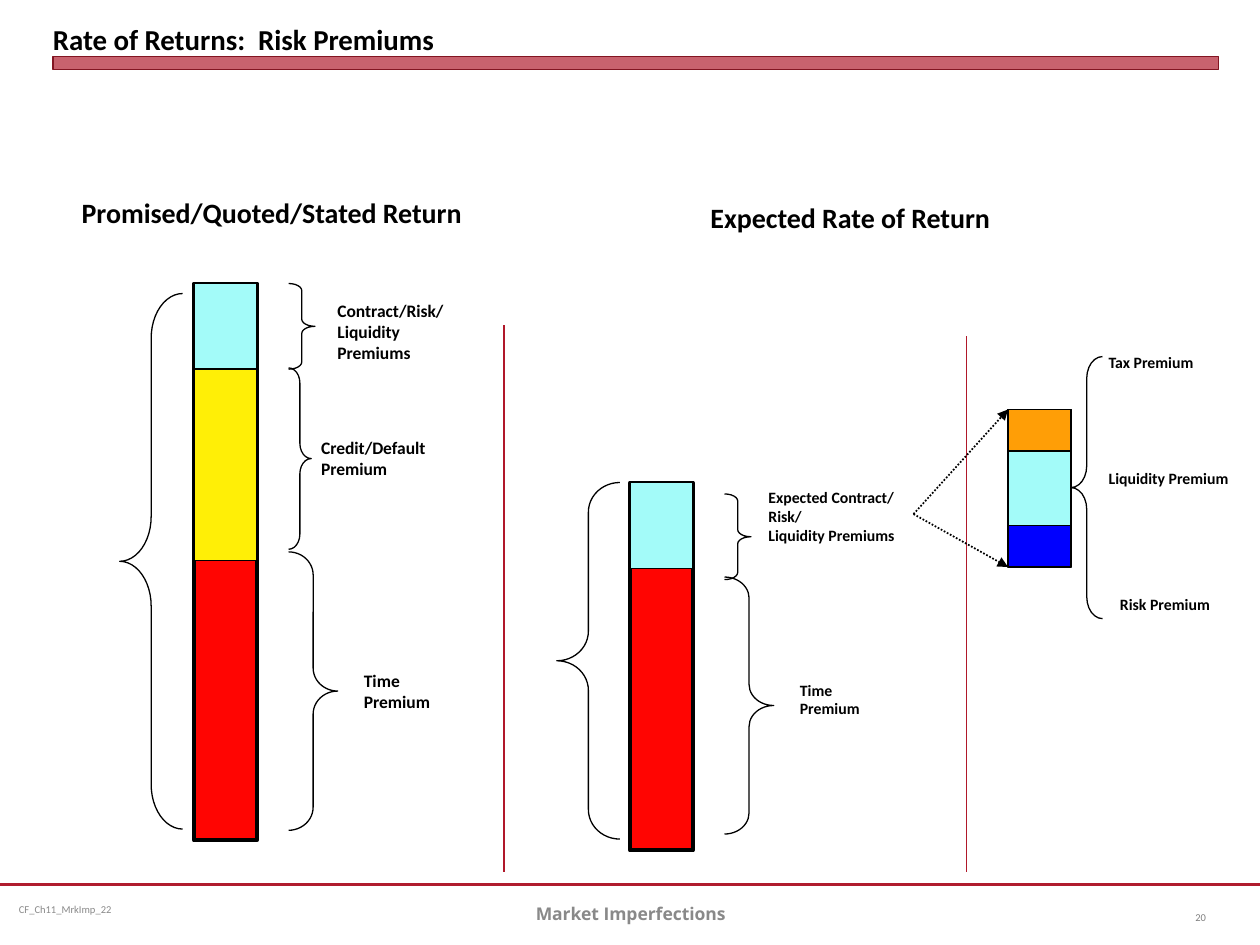
from dataclasses import dataclass

from lxml import etree
from pptx import Presentation
from pptx import util as u
from pptx.dml import color
from pptx.enum import dml, shapes, text
from pptx.oxml import ns


@dataclass(frozen=True)
class Theme:
    ink: str = "000000"
    accent: str = "B01C2E"
    accent_edge: str = "821522"
    divider: str = "B0182A"
    footer: str = "898989"
    number: str = "808080"
    time: str = "FF0502"
    credit: str = "FFEF06"
    liquidity: str = "A3FBF9"
    tax: str = "FF9E06"
    risk: str = "0000FF"
    font: str = "Calibri"
    footer_font: str = "Open Sans"
    title_size: float = 16.5
    heading_size: float = 16
    label_size: float = 10
    small_size: float = 9
    tiny_size: float = 6
    thin: float = 0.75
    arrow: float = 1
    footer_rule: float = 1.25
    medium: float = 2
    thick: float = 2.25


THEME = Theme()
BAR_WIDTH = 0.5


def rgb(value):
    return color.RGBColor.from_string(value)


def inches(*values):
    return [u.Inches(value) for value in values]


def style_text(frame, size, ink=THEME.ink, font=THEME.font, bold=True):
    for para in frame.paragraphs:
        for span in para.runs:
            span.font.size = u.Pt(size)
            span.font.name = font
            span.font.bold = bold
            span.font.color.rgb = rgb(ink)


def add_label(page, area, words, size, align=text.PP_ALIGN.LEFT,
              anchor=text.MSO_ANCHOR.TOP, **style):
    box = page.shapes.add_textbox(*inches(*area))
    frame = box.text_frame
    frame.word_wrap = True
    frame.vertical_anchor = anchor
    frame.text = words
    for para in frame.paragraphs:
        para.alignment = align
    style_text(frame, size, **style)
    return frame


def add_block(page, area, fill, edge=THEME.ink, width=THEME.thin):
    block = page.shapes.add_shape(shapes.MSO_SHAPE.RECTANGLE, *inches(*area))
    block.shadow.inherit = False
    block.fill.solid()
    block.fill.fore_color.rgb = rgb(fill)
    block.line.color.rgb = rgb(edge)
    block.line.width = u.Pt(width)
    return block


def add_brace(page, kind, area, curve):
    brace = page.shapes.add_shape(kind, *inches(*area))
    brace.shadow.inherit = False
    brace.adjustments[0] = curve
    brace.fill.background()
    brace.line.color.rgb = rgb(THEME.ink)
    brace.line.width = u.Pt(THEME.thin)


def add_line(page, start, end, ink=THEME.ink, width=THEME.thin):
    line = page.shapes.add_connector(
        shapes.MSO_CONNECTOR.STRAIGHT, *inches(*start, *end))
    line.line.color.rgb = rgb(ink)
    line.line.width = u.Pt(width)
    etree.SubElement(line._element.spPr, ns.qn("a:effectLst"))
    return line


def add_arrow(page, start, end):
    arrow = add_line(page, start, end, width=THEME.arrow)
    arrow.line.dash_style = dml.MSO_LINE.ROUND_DOT
    etree.SubElement(arrow.line._get_or_add_ln(), ns.qn("a:tailEnd"), type="triangle")


def add_bar(page, left, top, height, base, width, rules, segments):
    """Draw a base column, its dividing rules, then the coloured segments."""
    add_block(page, (left, top, BAR_WIDTH, height), base, width=width)
    for y, rule_width in rules:
        add_line(page, (left, y), (left + BAR_WIDTH, y), width=rule_width)
    for y, segment_height, fill in segments:
        add_block(page, (left, y, BAR_WIDTH, segment_height), fill)


def add_frame(page):
    """Title, title band and footer."""
    middle = text.MSO_ANCHOR.MIDDLE
    add_line(page, (0, 7.02), (10, 7.02), THEME.accent, THEME.footer_rule)
    source = add_label(page, (0.08, 7.02, 2.58, 0.4), "CF_Ch11_MrkImp_22",
                       THEME.tiny_size, anchor=middle, ink=THEME.footer, bold=False)
    source.margin_left = source.margin_right = u.Inches(0.07)
    source.margin_top = source.margin_bottom = u.Inches(0.04)

    band = add_block(page, (0.42, 0.45, 9.25, 0.1), THEME.accent, THEME.accent_edge, 0)
    band_color = band.fill._xPr.find(ns.qn("a:solidFill"))[0]
    etree.SubElement(band_color, ns.qn("a:alpha"), val="69000")

    title = page.shapes.title
    title.left, title.top, title.width, title.height = inches(0.42, 0.05, 9.25, 0.4)
    frame = title.text_frame
    frame.margin_left = frame.margin_right = frame.margin_top = frame.margin_bottom = 0
    frame.vertical_anchor = text.MSO_ANCHOR.BOTTOM
    frame.text = "Rate of Returns:  Risk Premiums"
    frame.paragraphs[0].alignment = text.PP_ALIGN.LEFT
    style_text(frame, THEME.title_size)

    add_label(page, (3.42, 7.05, 3.17, 0.4), "Market Imperfections", THEME.label_size,
              text.PP_ALIGN.CENTER, middle, ink=THEME.footer, font=THEME.footer_font)
    add_label(page, (9.17, 7.08, 0.5, 0.4), "20", THEME.tiny_size,
              text.PP_ALIGN.RIGHT, middle, ink=THEME.number, bold=False)


def main():
    deck = Presentation()
    deck.slide_width, deck.slide_height = inches(10, 7.5)
    page = deck.slides.add_slide(deck.slide_layouts[5])
    add_frame(page)

    # Stacked bars: promised return, expected return, premium breakdown
    add_bar(page, 1.54, 2.25, 4.42, THEME.time, THEME.thick,
            [(4.42, THEME.thick), (2.92, THEME.medium)],
            [(2.92, 1.53, THEME.credit), (2.25, 0.68, THEME.liquidity)])
    add_bar(page, 5, 3.83, 2.92, THEME.time, THEME.thick,
            [(4.5, THEME.thick), (3.83, THEME.medium)],
            [(3.83, 0.68, THEME.liquidity)])
    add_bar(page, 8, 3.25, 1.25, THEME.liquidity, THEME.thin,
            [(3.58, THEME.thin), (4.17, THEME.thin)],
            [(3.25, 0.33, THEME.tax), (4.17, 0.33, THEME.risk)])

    # Braces
    left, right = shapes.MSO_SHAPE.LEFT_BRACE, shapes.MSO_SHAPE.RIGHT_BRACE
    for kind, area, curve in (
        (left, (0.95, 2.33, 0.5, 4.25), 0.71),
        (right, (2.29, 2.25, 0.21, 0.68), 0.27),
        (right, (2.29, 2.92, 0.18, 1.44), 0.67),
        (right, (2.29, 4.38, 0.39, 2.21), 0.47),
        (left, (4.42, 3.83, 0.5, 2.83), 0.47),
        (right, (5.75, 3.92, 0.21, 0.68), 0.27),
        (right, (5.75, 4.58, 0.39, 2.04), 0.43),
        (left, (8.5, 2.83, 0.25, 2.08), 0.69),
    ):
        add_brace(page, kind, area, curve)

    # Headings and labels
    for area, words, size in (
        ((0.55, 1.5, 4.17, 0.37), "Promised/Quoted/Stated Return", THEME.heading_size),
        ((5.54, 1.54, 3.42, 0.37), "Expected Rate of Return", THEME.heading_size),
        ((2.58, 2.33, 1.5, 0.6), "Contract/Risk/\nLiquidity\nPremiums", THEME.label_size),
        ((2.45, 3.42, 1.21, 0.43), "Credit/Default Premium", THEME.label_size),
        ((2.79, 5.27, 0.8, 0.43), "Time Premium", THEME.label_size),
        ((6, 3.82, 1.58, 0.56), "Expected Contract/\nRisk/\nLiquidity Premiums",
         THEME.small_size),
        ((6.25, 5.35, 0.75, 0.4), "Time Premium", THEME.small_size),
        ((8.7, 2.75, 1.05, 0.25), "Tax Premium", THEME.small_size),
        ((8.7, 3.67, 1.21, 0.25), "Liquidity Premium", THEME.small_size),
        ((8.79, 4.67, 1.05, 0.25), "Risk Premium", THEME.small_size),
    ):
        add_label(page, area, words, size)

    # Column dividers and breakdown arrows
    for x, top in ((4, 2.58), (7.67, 2.67)):
        add_line(page, (x, top), (x, 6.92), THEME.divider)
    for y in (3.25, 4.5):
        add_arrow(page, (7.25, 4.08), (8, y))

    deck.save("out.pptx")


if __name__ == "__main__":
    main()
